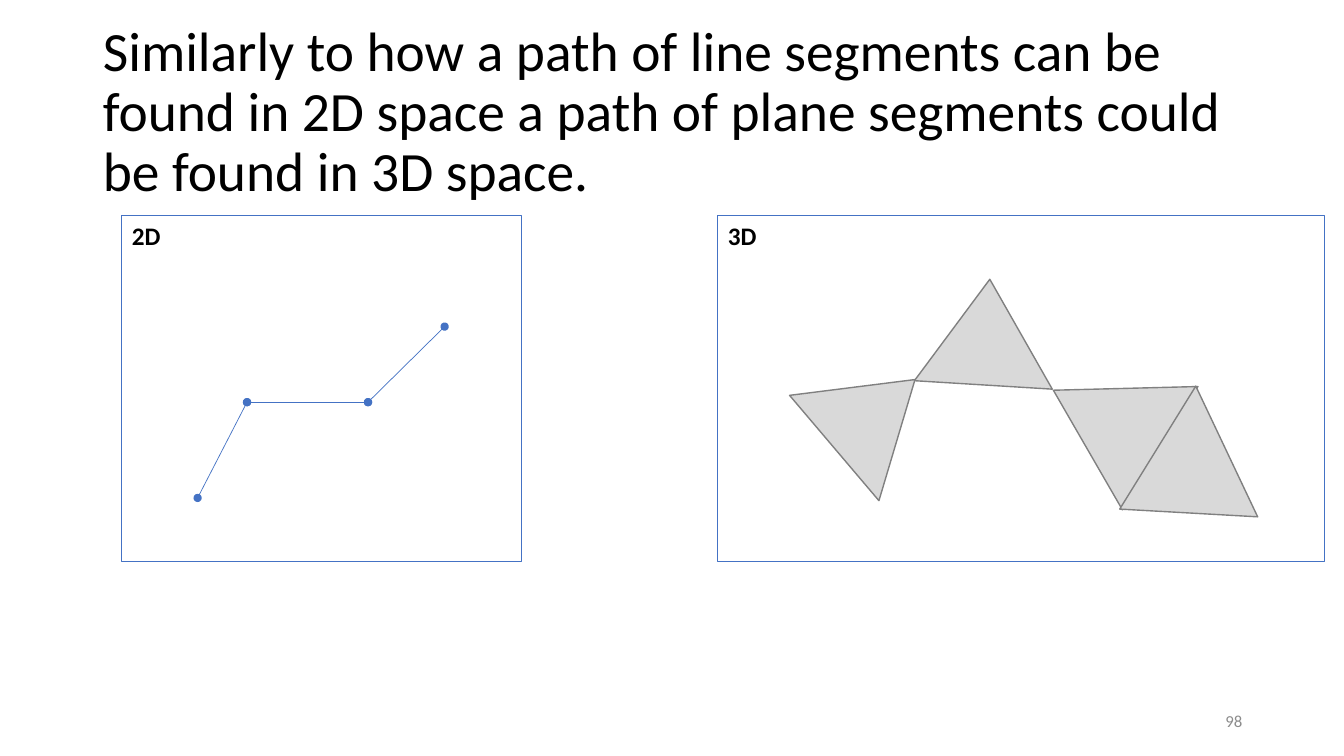
from itertools import pairwise

from pptx import Presentation
from pptx.dml.color import RGBColor
from pptx.enum.shapes import MSO_CONNECTOR, MSO_SHAPE
from pptx.enum.text import MSO_ANCHOR, MSO_AUTO_SIZE, PP_ALIGN
from pptx.oxml.ns import qn
from pptx.util import Inches, Pt
from lxml.etree import SubElement


def rgb(hex_color):
    return RGBColor.from_string(hex_color)


class SlideBuilder:
    FONT = "Calibri"
    BLACK, BLUE = "000000", "4472C4"
    MUTED, FACE, EDGE = "8C8C8C", "D9D9D9", "808080"

    def __init__(self, slide):
        self.slide = slide
        self.shapes = slide.shapes

    def set_text(self, shape, text, size, color=BLACK, bold=False,
                 align=PP_ALIGN.LEFT, anchor=MSO_ANCHOR.TOP):
        frame = shape.text_frame
        frame.text = text
        frame.word_wrap = True
        frame.auto_size = MSO_AUTO_SIZE.NONE
        frame.vertical_anchor = anchor
        paragraph = frame.paragraphs[0]
        paragraph.alignment = align
        font = paragraph.font
        font.name, font.size, font.bold = self.FONT, Pt(size), bold
        font.color.rgb = rgb(color)
        return paragraph

    def title(self, text, left, top, width, height):
        heading = self.shapes.title
        heading.left, heading.top = Inches(left), Inches(top)
        heading.width, heading.height = Inches(width), Inches(height)
        paragraph = self.set_text(heading, text, 39.6,
                                  anchor=MSO_ANCHOR.MIDDLE)
        paragraph.line_spacing = 0.9

    def page_number(self, text, *box):
        number = self.shapes.add_textbox(*map(Inches, box))
        self.set_text(number, text, 12, self.MUTED, align=PP_ALIGN.RIGHT,
                      anchor=MSO_ANCHOR.MIDDLE)

    def outline(self, kind, box, color, width):
        shape = self.shapes.add_shape(kind, *map(Inches, box))
        shape.shadow.inherit = False
        shape.line.color.rgb = rgb(color)
        shape.line.width = Pt(width)
        return shape

    def panel(self, label, *box):
        panel = self.outline(MSO_SHAPE.RECTANGLE, box, self.BLUE, 0.75)
        panel.fill.background()
        self.set_text(panel, label, 18, bold=True)

    def segment(self, start, end):
        segment = self.shapes.add_connector(
            MSO_CONNECTOR.STRAIGHT, *map(Inches, start + end))
        segment.line.color.rgb = rgb(self.BLUE)
        segment.line.width = Pt(0.5)
        properties = segment._element.spPr
        line = properties.find(qn("a:ln"))
        for tag in ("a:headEnd", "a:tailEnd"):
            SubElement(line, qn(tag), type="oval")
        SubElement(properties, qn("a:effectLst"))

    def triangle(self, left, top, height, rotation):
        box = (left, top, 1.37, height)
        face = self.outline(MSO_SHAPE.ISOSCELES_TRIANGLE, box, self.EDGE, 1)
        face.fill.solid()
        face.fill.fore_color.rgb = rgb(self.FACE)
        face.rotation = rotation


def main():
    prs = Presentation()
    prs.slide_width, prs.slide_height = Inches(13.33), Inches(7.5)
    builder = SlideBuilder(prs.slides.add_slide(prs.slide_layouts[5]))

    # Title and page number
    builder.title(
        "Similarly to how a path of line segments can be found in 2D space "
        "a path of plane segments could be found in 3D space.",
        0.92, 0.4, 11.5, 1.45)
    builder.page_number("98", 9.42, 6.95, 3, 0.4)

    # Panels
    builder.panel("2D", 1.21, 2.14, 3.96, 3.43)
    builder.panel("3D", 7.12, 2.14, 6.02, 3.43)

    # Path of line segments
    path_points = [(1.96, 4.94), (2.45, 3.99), (3.65, 3.99), (4.41, 3.24)]
    for start, end in pairwise(path_points):
        builder.segment(start, end)

    # Path of plane segments: left, top, height, rotation
    plane_segments = [
        (7.99, 3.58, 1.05, 49.7),
        (9.1, 2.77, 1.05, 3.5),
        (10.65, 3.52, 1.26, 60),
        (11.14, 3.83, 1.26, 3.2),
    ]
    for plane in plane_segments:
        builder.triangle(*plane)

    prs.save("out.pptx")


if __name__ == "__main__":
    main()
